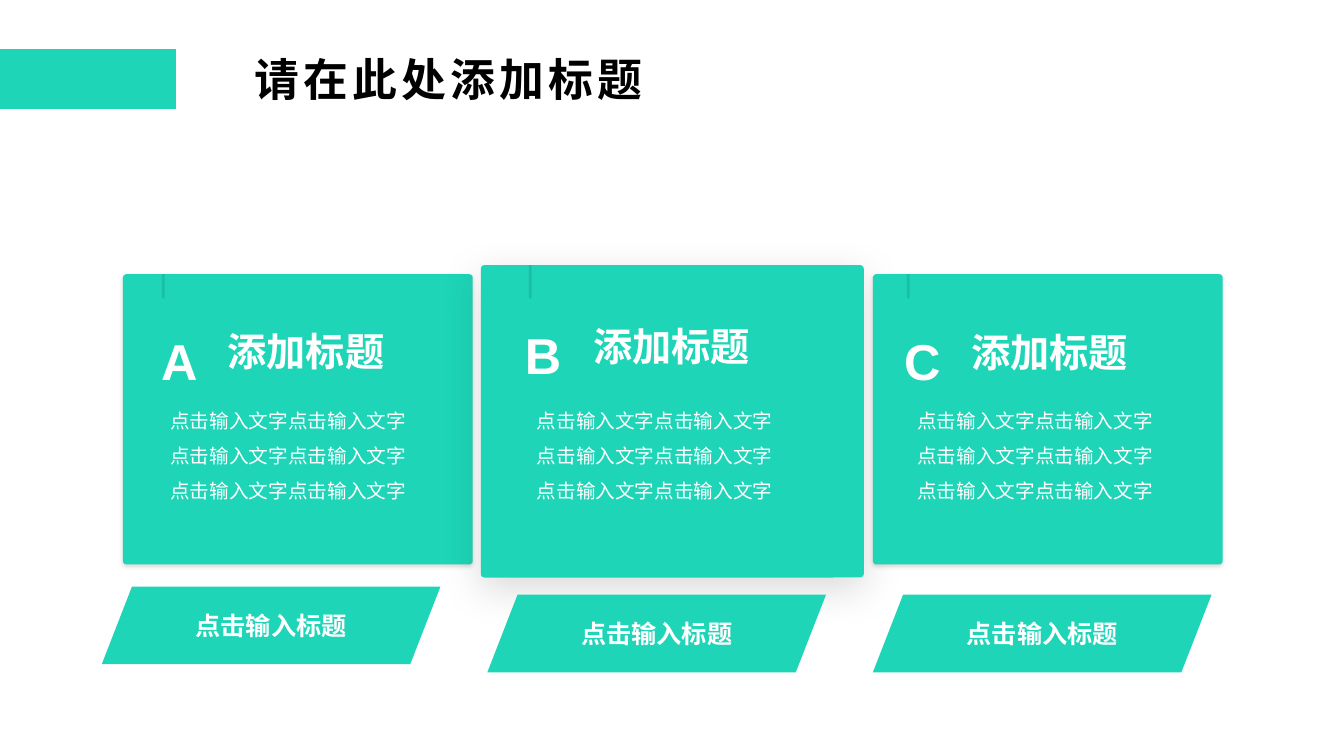
from dataclasses import dataclass

from lxml import etree
from pptx import Presentation
from pptx.dml.color import RGBColor
from pptx.enum.shapes import MSO_CONNECTOR, MSO_SHAPE
from pptx.enum.text import MSO_ANCHOR, PP_ALIGN
from pptx.oxml.ns import qn
from pptx.util import Inches, Pt

LEFT, CENTER = PP_ALIGN.LEFT, PP_ALIGN.CENTER
TOP, MIDDLE = MSO_ANCHOR.TOP, MSO_ANCHOR.MIDDLE
RECTANGLE, ROUNDED = MSO_SHAPE.RECTANGLE, MSO_SHAPE.ROUNDED_RECTANGLE
STRAIGHT = MSO_CONNECTOR.STRAIGHT
TITLE_ONLY = 5
CELL = Inches(0.1)  # one column or row of the grid
COLUMNS, ROWS = 133.33, 75


@dataclass(frozen=True)
class Theme:
    accent: str = "1ED5B7"
    light: str = "FFFFFF"
    dark: str = "000000"
    latin: str = "Arial"
    chinese: str = "Noto Sans CJK SC"
    title: int = 32
    letter: int = 36
    heading: int = 28
    tab: int = 18
    body: int = 14
    body_leading: int = 25


def grid(*cells):
    return [round(cell * CELL) for cell in cells]


def add_child(parent, tag, **attributes):
    child = etree.SubElement(parent, qn(tag))
    for name, value in attributes.items():
        child.set(name, str(value))
    return child


def format_text(shape, text, *, size, color, font, east_asian, bold=False,
                align=CENTER, anchor=MIDDLE, wrap=True, leading=None, tracking=0):
    """Fill a shape with one formatted paragraph; tracking is in points."""
    frame = shape.text_frame
    frame.word_wrap = wrap
    frame.vertical_anchor = anchor
    paragraph = frame.paragraphs[0]
    paragraph.alignment = align
    if leading:
        paragraph.line_spacing = Pt(leading)
    run = paragraph.add_run()
    run.text = text
    run.font.size = Pt(size)
    run.font.bold = bold
    run.font.color.rgb = RGBColor.from_string(color)
    run.font.name = font
    properties = run._r.get_or_add_rPr()
    if tracking:
        properties.set("spc", str(tracking * 100))
    add_child(properties, "a:ea", typeface=east_asian)


class CardSlide:
    def __init__(self, presentation, theme):
        self.theme = theme
        self.slide = presentation.slides.add_slide(
            presentation.slide_layouts[TITLE_ONLY])
        self.shapes = self.slide.shapes

    def put_text(self, shape, text, **style):
        defaults = dict(color=self.theme.light, font=self.theme.chinese,
                        east_asian=self.theme.chinese)
        format_text(shape, text, **{**defaults, **style})

    def paint(self, shape):
        shape.shadow.inherit = False
        shape.fill.solid()
        shape.fill.fore_color.rgb = RGBColor.from_string(self.theme.accent)
        shape.line.fill.background()

    def title(self, text, left, top, width, height):
        shape = self.shapes.title
        shape.left, shape.top, shape.width, shape.height = grid(
            left, top, width, height)
        self.put_text(shape, text, size=self.theme.title, color=self.theme.dark,
                      bold=True, align=LEFT, tracking=3)

    def bar(self, left, top, width, height):
        shape = self.shapes.add_shape(RECTANGLE, *grid(left, top, width, height))
        self.paint(shape)
        shape.line.color.rgb = RGBColor.from_string(self.theme.light)
        shape.line.width = Pt(1)

    def panel(self, left, top, width, height, blur, distance):
        """Draw a rounded panel; blur and distance of its shadow are in points."""
        shape = self.shapes.add_shape(ROUNDED, *grid(left, top, width, height))
        shape.adjustments[0] = 0.012
        self.paint(shape)
        effects = shape._element.spPr.find(qn("a:effectLst"))
        shadow = add_child(effects, "a:outerShdw", blurRad=int(Pt(blur)),
                           dist=int(Pt(distance)), dir=90 * 60000, algn="t",
                           rotWithShape=0)
        color = add_child(shadow, "a:srgbClr", val=self.theme.dark)
        add_child(color, "a:alpha", val=15000)

    def marker(self, column, top, bottom):
        """Draw a faint vertical tick."""
        line = self.shapes.add_connector(STRAIGHT, *grid(column, top, column, bottom))
        line.line.width = Pt(2)
        line.line.color.rgb = RGBColor.from_string(self.theme.dark)
        properties = line._element.spPr
        add_child(properties.find(".//" + qn("a:srgbClr")), "a:alpha", val=10000)
        add_child(properties, "a:effectLst")

    def label(self, text, left, top, width, height, **style):
        box = self.shapes.add_textbox(*grid(left, top, width, height))
        self.put_text(box, text, **style)

    def tab(self, text, left, top, width=33.6, height=7.7, slant=3):
        right, bottom = left + width, top + height
        corners = [(left + slant, top), (right, top),
                   (right - slant, bottom), (left, bottom)]
        start, *others = [grid(*corner) for corner in corners]
        builder = self.shapes.build_freeform(*start)
        builder.add_line_segments(others, close=True)
        shape = builder.convert_to_shape()
        self.paint(shape)
        self.put_text(shape, text, size=self.theme.tab, bold=True)

    def card(self, letter, panel, shadow, tick, letter_at, heading_at, body_at):
        theme = self.theme
        self.panel(*panel, *shadow)
        self.label("添加标题", *heading_at, 17.7, 5.7, size=theme.heading,
                   font=theme.latin, bold=True, wrap=False)
        self.label(letter, *letter_at, 5.7, 7.1, size=theme.letter,
                   font=theme.latin, bold=True, wrap=False, align=LEFT)
        self.marker(tick, panel[1], 29.6)
        left, width = body_at
        self.label("点击输入文字" * 6, left, 38.9, width, 11.6, size=theme.body,
                   leading=theme.body_leading, anchor=TOP)


def main():
    presentation = Presentation()
    presentation.slide_width, presentation.slide_height = grid(COLUMNS, ROWS)
    page = CardSlide(presentation, Theme())
    page.title("请在此处添加标题", 24.2, 4.7, 49.3, 6.1)

    near, far = (3, 1), (30, 8)
    cards = [
        ("A", (12.2, 27.2, 34.7, 28.8), near, 16.2, (15, 32.2), (21.5, 32), (15.5, 26.2)),
        ("B", (47.7, 26.3, 38, 31), far, 52.6, (51.1, 31.6), (57.8, 31.5), (51.5, 26.9)),
        ("C", (86.6, 27.2, 34.7, 28.8), near, 90.1, (88.7, 32.2), (95.3, 32.1), (89.9, 25.6)),
    ]
    for card in cards:
        page.card(*card)
    for left, top in [(10.1, 58.2), (48.35, 59), (86.6, 59)]:
        page.tab("点击输入标题", left, top)
    page.bar(-0.3, 4.8, 17.8, 6.1)
    presentation.save("out.pptx")


if __name__ == "__main__":
    main()
